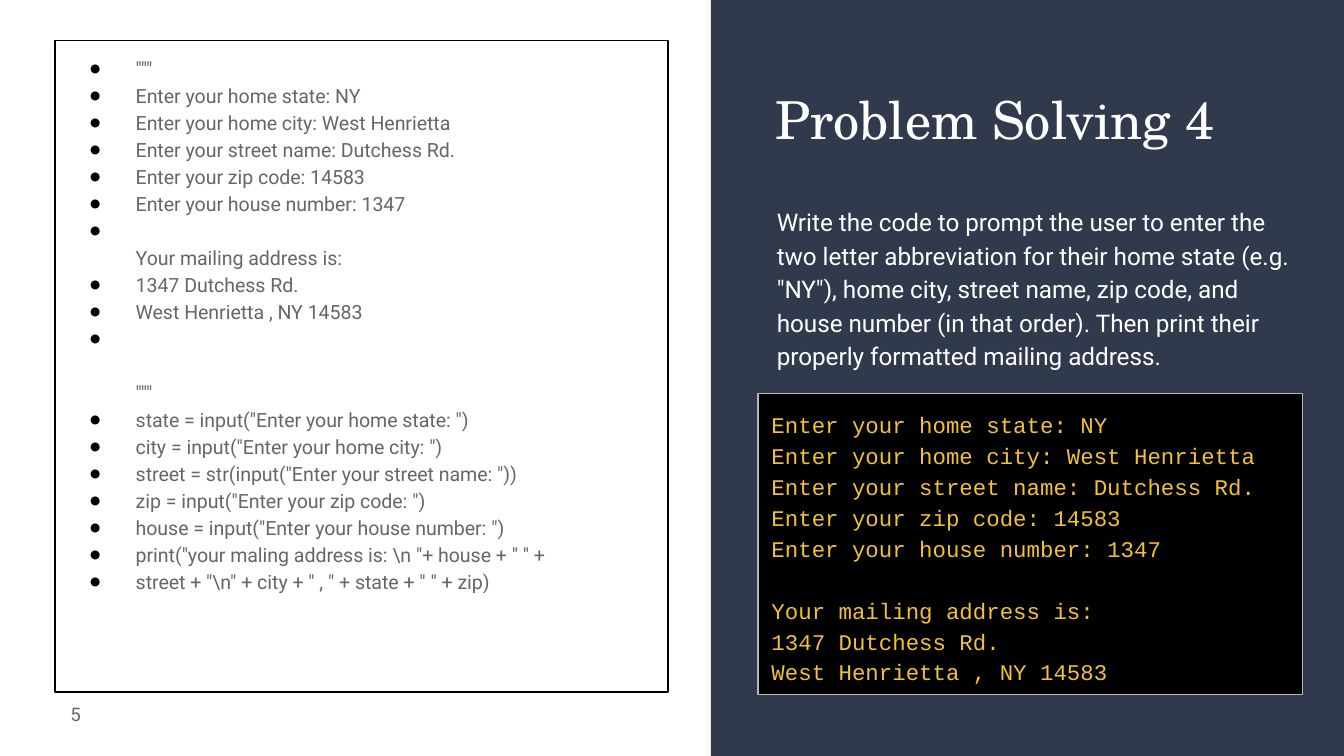
from lxml.etree import SubElement as Sub
from pptx import Presentation
from pptx.dml.color import RGBColor
from pptx.enum.shapes import MSO_SHAPE as Shape
from pptx.enum.text import MSO_ANCHOR as Anchor, MSO_AUTO_SIZE as Fit, PP_ALIGN as Align
from pptx.oxml.ns import qn
from pptx.util import Inches, Pt

WHITE = RGBColor(0xFF, 0xFF, 0xFF)
BLACK = RGBColor(0, 0, 0)
NAVY = RGBColor(0x31, 0x39, 0x4D)
GREY = RGBColor(0x66, 0x66, 0x66)
SILVER = RGBColor(0xB7, 0xB7, 0xB7)
GOLD = RGBColor(0xF1, 0xC2, 0x32)
SANS, SERIF, MONO = "Roboto", "TeX Gyre Schola", "Courier New"
WIDE = 10
TALL = WIDE * 9 / 16

ENTRY = [
    "Enter your home state: NY",
    "Enter your home city: West Henrietta",
    "Enter your street name: Dutchess Rd.",
    "Enter your zip code: 14583",
    "Enter your house number: 1347",
]
HEAD = "Your mailing address is:"
MAIL = ["1347 Dutchess Rd.", "West Henrietta , NY 14583"]
# \v is a line break within a bullet
CODE = ['"""', *ENTRY, "\v" + HEAD, *MAIL, '\v\v"""'] + [
    'state = input("Enter your home state: ")',
    'city = input("Enter your home city: ")',
    'street = str(input("Enter your street name: "))',
    'zip = input("Enter your zip code: ")',
    'house = input("Enter your house number: ")',
    r'print("your maling address is: \n "+ house + " " +',
    r'street + "\n" + city + " , " + state + " " + zip)',
]
PROMPT = (
    "Write the code to prompt the user to enter the two letter abbreviation "
    'for their home state (e.g. "NY"), home city, street name, zip code, and '
    "house number (in that order). Then print their properly formatted "
    "mailing address."
)


def place(shape, box):
    shape.left, shape.top, shape.width, shape.height = map(Inches, box)


def write(shape, text, font, size, color, space=1.15, align=Align.LEFT, anchor=Anchor.TOP):
    """Fill a text shape and give all its runs one look."""
    frame = shape.text_frame
    frame.text = text
    frame.word_wrap = True
    frame.auto_size = Fit.NONE
    frame.vertical_anchor = anchor
    frame.margin_left = frame.margin_right = Inches(0.1)
    frame.margin_top = frame.margin_bottom = Inches(0.1)
    for para in frame.paragraphs:
        para.alignment = align
        para.line_spacing = space
        para.space_before = para.space_after = Pt(0)
        for run in para.runs:
            run.font.name, run.font.size = font, Pt(size)
            run.font.bold = False
            run.font.color.rgb = color
    return frame.paragraphs


def bullet(para, color, size):
    """Hang a round bullet and size the line breaks to match the text."""
    props = para._p.get_or_add_pPr()
    props.set("marL", str(Inches(0.5)))
    props.set("indent", str(Inches(-0.34)))
    tint = Sub(props, qn("a:buClr"))
    Sub(tint, qn("a:srgbClr"), val=str(color))
    Sub(props, qn("a:buSzPct"), val="60000")
    Sub(props, qn("a:buFont"), typeface=SANS)
    Sub(props, qn("a:buChar"), char="●")
    for gap in para._p.findall(qn("a:br")):
        look = Sub(gap, qn("a:rPr"), sz=str(int(size * 100)))
        Sub(look, qn("a:latin"), typeface=SANS)


def frame_box(shape, color):
    shape.line.color.rgb = color
    shape.line.width = Pt(0.75)


def add_panel(slide, box):
    panel = slide.shapes.add_shape(Shape.RECTANGLE, *map(Inches, box))
    panel.shadow.inherit = False
    panel.fill.solid()
    panel.fill.fore_color.rgb = NAVY
    panel.line.fill.background()
    slide.shapes._spTree.insert(2, panel._element)  # behind the placeholders


def add_code(holder, box):
    place(holder, box)
    frame_box(holder, BLACK)
    for para in write(holder, "\n".join(CODE), SANS, 10.5, GREY):
        bullet(para, BLACK, 10.5)


def add_task(title, body, box):
    left, top, width, _ = box
    place(title, (left, top, width, 0.7))
    write(title, "Problem Solving 4", SERIF, 28, WHITE, space=1)
    place(body, (left + 0.01, top + 0.86, width, 1.35))
    write(body, PROMPT, SANS, 13, WHITE)[0].space_after = Pt(16)


def add_console(holder, box):
    place(holder, box)
    holder.fill.solid()
    holder.fill.fore_color.rgb = BLACK
    frame_box(holder, SILVER)
    paras = write(holder, "\n".join([*ENTRY, HEAD, *MAIL]), MONO, 12, GOLD)
    paras[len(ENTRY)].space_before = Pt(16.6)


def add_number(slide, box):
    label = slide.shapes.add_textbox(*map(Inches, box))
    write(label, "5", SANS, 10, GREY, 1, Align.RIGHT, Anchor.MIDDLE)


def main():
    deck = Presentation()
    deck.slide_width, deck.slide_height = Inches(WIDE), Inches(TALL)
    slide = deck.slides.add_slide(deck.slide_layouts.get_by_name("Comparison"))
    title, prompt, code, console, spare = slide.placeholders
    spare._element.getparent().remove(spare._element)
    add_panel(slide, (5.29, 0, WIDE - 5.29, TALL))
    add_code(code, (0.41, 0.3, 4.56, 4.85))
    add_task(title, prompt, (5.67, 0.55, 4.05, 2.21))
    add_console(console, (5.64, 2.93, 4.05, 2.24))
    add_number(slide, (0.1, 5.1, 0.6, 0.43))
    deck.save("out.pptx")


if __name__ == "__main__":
    main()
